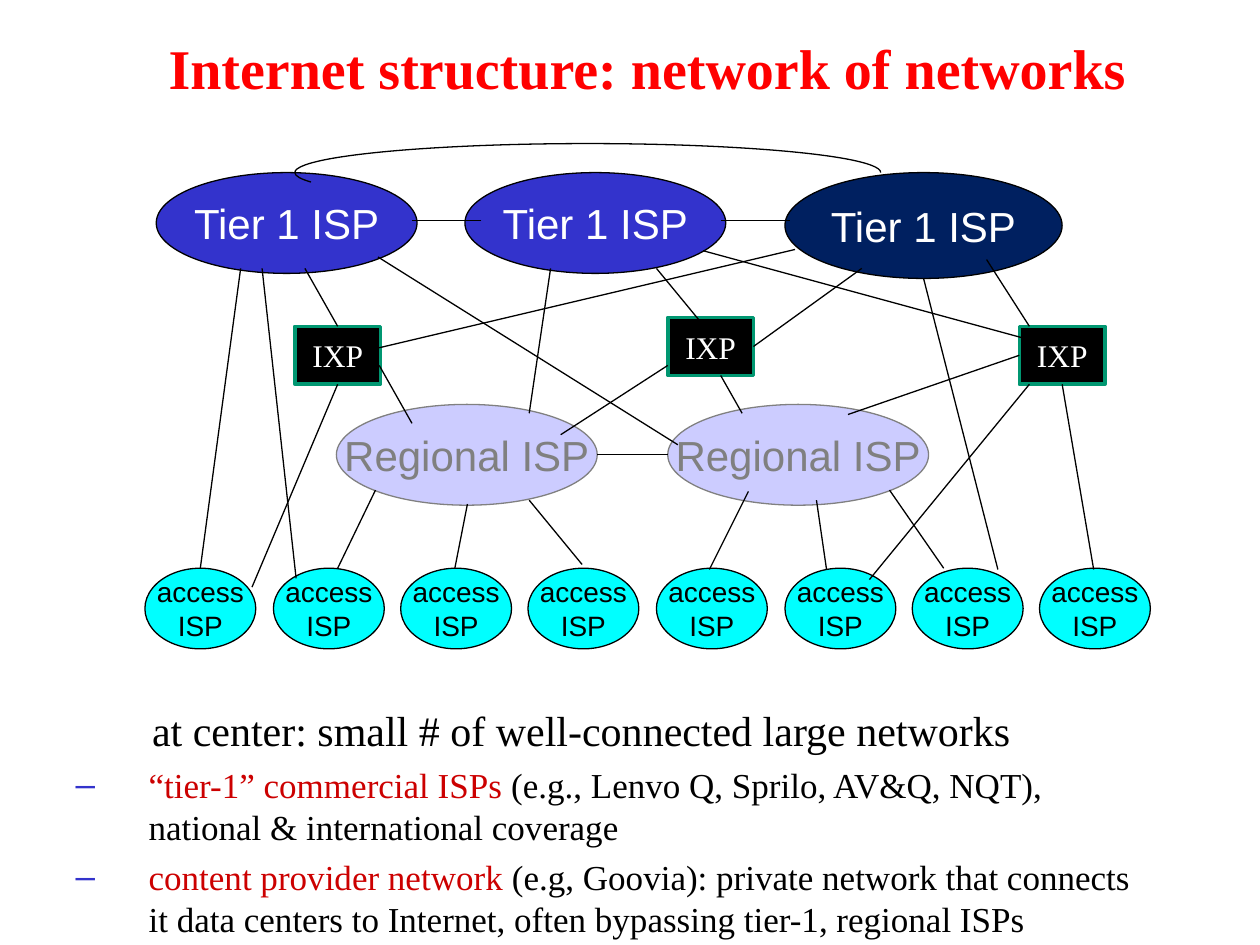
import pptx
import pptx.util
import pptx.dml.color
import pptx.enum.shapes
import pptx.enum.text
import pptx.oxml.ns
import lxml.etree

RGB = pptx.dml.color.RGBColor
Pt = pptx.util.Pt
Kind = pptx.enum.shapes.MSO_SHAPE
Align = pptx.enum.text.PP_ALIGN
Anchor = pptx.enum.text.MSO_ANCHOR
Fit = pptx.enum.text.MSO_AUTO_SIZE
qn = pptx.oxml.ns.qn

BLACK, WHITE = RGB(0, 0, 0), RGB(255, 255, 255)
RED, DARK_RED = RGB(255, 0, 0), RGB(0xCC, 0, 0)
BLUE, NAVY = RGB(0x33, 0x33, 0xCC), RGB(0, 0x20, 0x60)
PALE, GREY = RGB(0xCC, 0xCC, 0xFF), RGB(0x80, 0x80, 0x80)
CYAN, GREEN = RGB(0, 255, 255), RGB(0, 0x97, 0x71)
SERIF, SANS = "Times New Roman", "Arial"

# The slide is a square grid of 1000 columns by 750 rows.
COLS, ROWS = 1000, 750
CELL = pptx.util.Inches(10) // COLS

TOP, MID, LOW, EXCH = 137, 321, 451, 259  # top rows of the bands
TOP_TEXT = dict(name=SANS, size=Pt(24), color=WHITE)
MID_TEXT = dict(name=SANS, size=Pt(24), color=GREY)
LOW_TEXT = dict(name=SANS, size=Pt(16), color=BLACK)
IXP_TEXT = dict(name=SERIF, size=Pt(18), color=WHITE)

LINKS = [
    # first tier: peers, then links down
    (382, 175, 327, 175), (627, 175, 572, 175),
    (191, 213, 159, 451), (208, 213, 235, 459), (300, 204, 538, 353),
    (437, 213, 420, 328), (521, 213, 563, 264), (558, 199, 811, 268),
    (631, 198, 301, 276), (733, 221, 792, 452), (783, 206, 817, 259),
    # exchange points
    (301, 290, 327, 336), (530, 290, 445, 345), (572, 298, 589, 328),
    (817, 305, 690, 460),
    # regional: peers, then links down
    (530, 361, 474, 361),
    (298, 389, 268, 451), (371, 400, 361, 451), (420, 397, 462, 448),
    (594, 390, 563, 452), (648, 397, 656, 452), (706, 389, 749, 451),
]
# exchange number, side, free end
JOINS = [(0, 0, 242, 213), (0, 2, 200, 466), (1, 3, 684, 213),
         (2, 1, 673, 329), (2, 2, 868, 452)]


def grid(*cells):
    return [cell * CELL for cell in cells]


def place(shape, *cells):
    sides = ("left", "top", "width", "height")
    for side, value in zip(sides, grid(*cells)):
        setattr(shape, side, value)


def write(para, text, look):
    run = para.add_run()
    run.text = text
    for key, value in look.items():
        if key == "color":
            run.font.color.rgb = value
        else:
            setattr(run.font, key, value)


def node(slide, kind, box, text, look, fill, edge=BLACK, width=0.75):
    """Add a filled shape with one centred paragraph per text line."""
    shape = slide.shapes.add_shape(kind, *grid(*box))
    shape.shadow.inherit = False
    shape.fill.solid()
    shape.fill.fore_color.rgb = fill
    shape.line.color.rgb = edge
    shape.line.width = Pt(width)
    frame = shape.text_frame
    frame.word_wrap = kind == Kind.RECTANGLE
    frame.vertical_anchor = Anchor.MIDDLE
    for i, line in enumerate(text.split("\n")):
        para = frame.add_paragraph() if i else frame.paragraphs[0]
        para.alignment = Align.CENTER
        write(para, line, look)
    return shape


def link(slide, ends):
    line = slide.shapes.add_connector(
        pptx.enum.shapes.MSO_CONNECTOR.STRAIGHT, *grid(*ends))
    line.line.color.rgb = BLACK
    line.line.width = Pt(0.75)
    lxml.etree.SubElement(line._element.spPr, qn("a:effectLst"))
    return line


def arch(slide):
    arc = slide.shapes.add_shape(Kind.ARC, *grid(234, 114, 465, 46))
    arc.shadow.inherit = False
    arc.fill.background()
    arc.line.color.rgb = BLACK
    arc.line.width = Pt(0.75)
    arc.adjustments[0] = 106.82
    arc.adjustments[1] = 0


def indent(para, left, first, mark=None):
    """Set the hanging indent in cells, and a dash or no bullet."""
    props = para._p.get_or_add_pPr()
    props.set("marL", str(left * CELL))
    props.set("indent", str(first * CELL))
    if mark:
        tint = lxml.etree.SubElement(props, qn("a:buClr"))
        lxml.etree.SubElement(tint, qn("a:srgbClr"), val=str(BLUE))
        lxml.etree.SubElement(props, qn("a:buChar"), char=mark)
    else:
        lxml.etree.SubElement(props, qn("a:buNone"))


def title(slide):
    shape = slide.shapes.title
    place(shape, 28, 18, 972, 71)
    frame = shape.text_frame
    frame.auto_size = Fit.NONE
    frame.vertical_anchor = Anchor.MIDDLE
    para = frame.paragraphs[0]
    para.alignment = Align.CENTER
    write(para, "Internet structure: network of networks",
          dict(name=SERIF, size=Pt(32), bold=True, color=RED))


def notes(slide):
    body = slide.placeholders[1]
    place(body, 0, 554, 923, 196)
    frame = body.text_frame
    frame.auto_size = Fit.NONE
    head = frame.paragraphs[0]
    indent(head, 67, -67)
    head.alignment = Align.CENTER
    head.space_before = Pt(0)
    write(head, "at center: small # of well-connected large networks",
          dict(name=SERIF, size=Pt(24), color=BLACK))
    items = [
        ("“tier-1” commercial ISPs ",
         "(e.g., Lenvo Q, Sprilo, AV&Q, NQT), national "
         "& international coverage"),
        ("content provider network ",
         "(e.g, Goovia): private network that connects it data centers "
         "to Internet, often bypassing tier-1, regional ISPs"),
    ]
    for term, rest in items:
        para = frame.add_paragraph()
        para.level = 1
        indent(para, 108, -58, "–")
        para.space_before = Pt(4.8)
        for text, color in ((term, DARK_RED), (rest, BLACK)):
            write(para, text, dict(name=SERIF, size=Pt(20), color=color))


def main():
    deck = pptx.Presentation()
    deck.slide_width, deck.slide_height = grid(COLS, ROWS)
    slide = deck.slides.add_slide(deck.slide_layouts[1])
    title(slide)
    notes(slide)
    for i in range(8):
        node(slide, Kind.OVAL, (115 + round(101.5 * i), LOW, 88, 64),
             "access\nISP", LOW_TEXT, CYAN)
    for left in (267, 530):
        node(slide, Kind.OVAL, (left, MID, 207, 80),
             "Regional ISP", MID_TEXT, PALE, GREY)
    for left, wide, high, fill in ((124, 207, 80, BLUE), (369, 207, 80, BLUE),
                                   (623, 220, 84, NAVY)):
        node(slide, Kind.OVAL, (left, TOP, wide, high),
             "Tier 1 ISP", TOP_TEXT, fill)
    hubs = [node(slide, Kind.RECTANGLE, (left, top, 68, 46),
                 "IXP", IXP_TEXT, BLACK, GREEN, 2)
            for left, top in ((234, EXCH), (530, EXCH - 7), (809, EXCH))]
    arch(slide)
    for ends in LINKS:
        link(slide, ends)
    for hub, side, x, y in JOINS:
        link(slide, (x, y, x, y)).end_connect(hubs[hub], side)
    deck.save("out.pptx")


if __name__ == "__main__":
    main()
